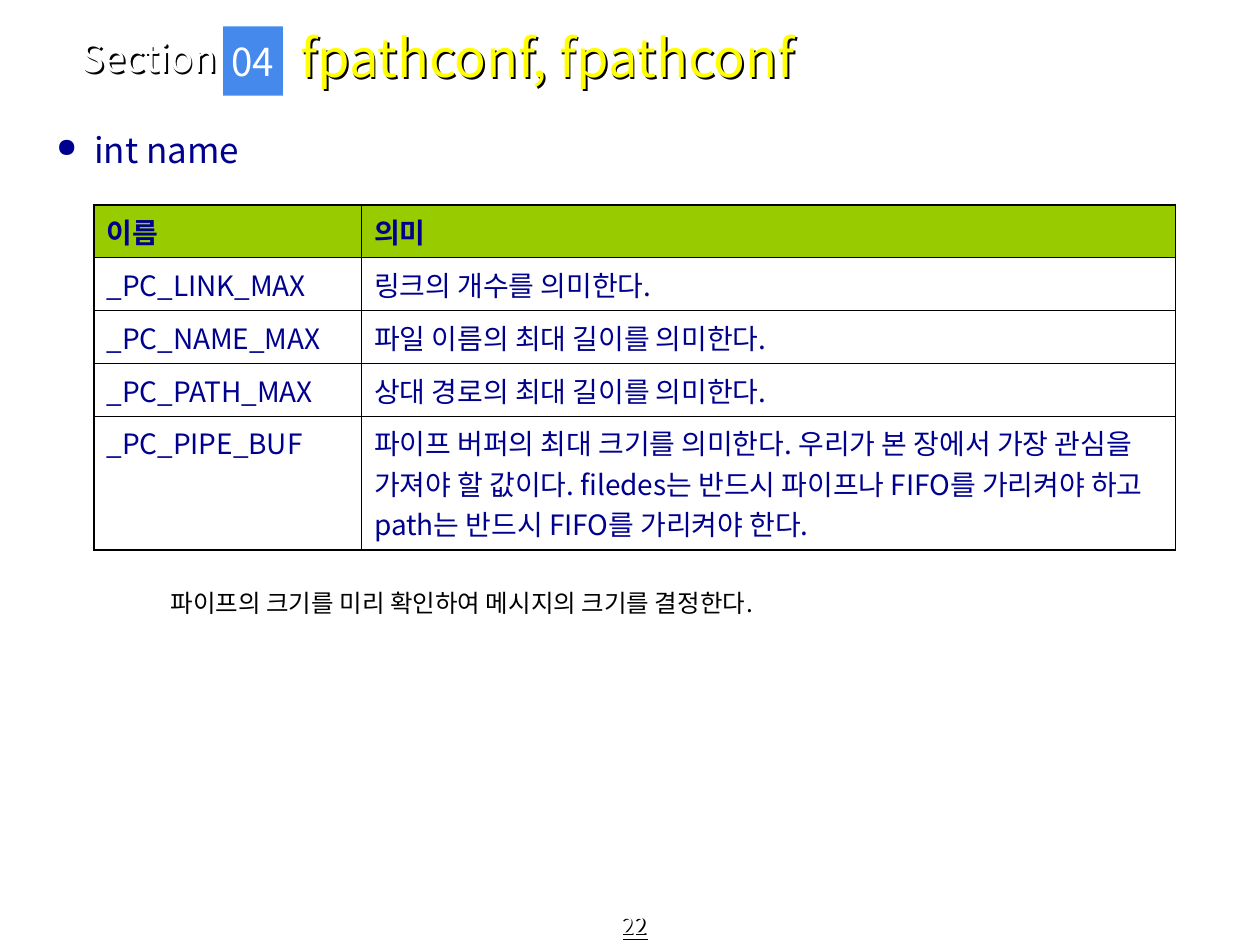
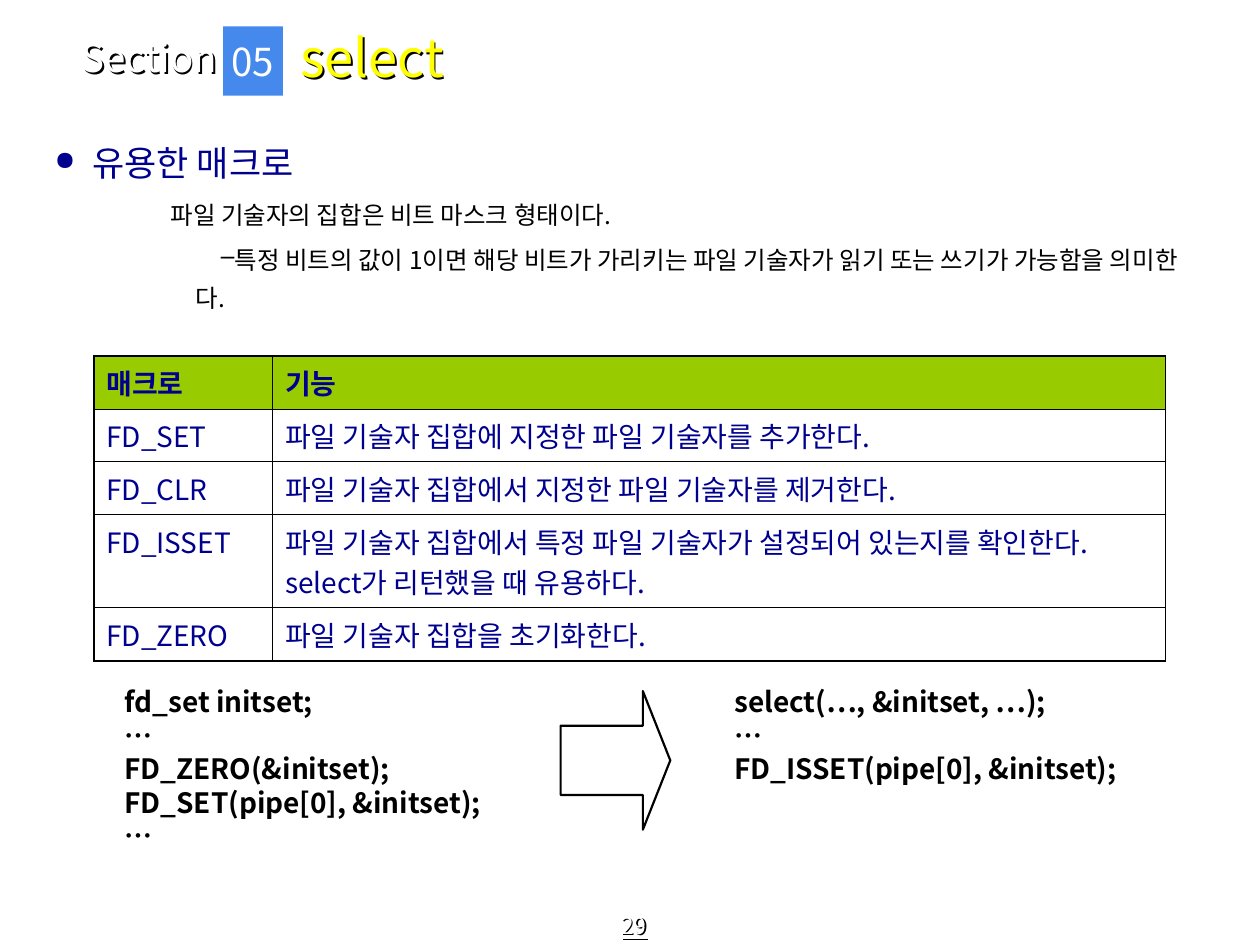
import pptx
import pptx.util
import pptx.dml.color
import pptx.enum.shapes
import pptx.enum.text
import pptx.oxml.ns
import lxml.etree

# Grid: 100 columns by 75 rows, boxes are (left, top, width, height)
WIDE, HIGH = pptx.util.Inches(10), pptx.util.Inches(7.5)
COL, ROW = WIDE / 100, HIGH / 75
FONT = "Noto Sans CJK KR"
HUES = {"ink": "000000", "navy": "00008E", "lime": "99CC00", "sky": "4589ED",
        "gold": "FFFF00", "white": "FFFFFF"}
THICK, THIN = 1.08, 0.45
LEFT = pptx.enum.text.PP_ALIGN.LEFT
MID = pptx.enum.text.PP_ALIGN.CENTER
ANCHOR = pptx.enum.text.MSO_ANCHOR
SHAPE = pptx.enum.shapes.MSO_SHAPE


def hue(name):
    return pptx.dml.color.RGBColor.from_string(HUES[name])


def tag(name):
    return pptx.oxml.ns.qn("a:" + name)


def add(node, name, **attrs):
    return lxml.etree.SubElement(node, tag(name), attrs)


def spot(box):
    x, y, w, h = box
    return [round(v) for v in (x * COL, y * ROW, w * COL, h * ROW)]


def inner(box, x, y, w, h):
    """Place a part by its offset from the corner of a box."""
    return box[0] + x, box[1] + y, w, h


def style(para, size, color, bold=False, line=False):
    font = para.font
    font.name, font.size, font.bold = FONT, pptx.util.Pt(size), bold
    font.color.rgb = hue(color)
    if line:
        font.underline = True
    props = para._p.pPr.find(tag("defRPr"))
    asian = add(props, "ea", typeface=FONT)
    props.find(tag("latin")).addnext(asian)


def cast(shape):
    """Give the text of an unfilled box a hard black shadow."""
    glow = add(shape._element.spPr, "effectLst")
    drop = add(glow, "outerShdw", blurRad="0", dist="17961", dir="2700000",
               algn="ctr", rotWithShape="0")
    add(drop, "srgbClr", val=HUES["ink"])


def bullet(para, mark, color, margin, indent, share):
    props = para._p.get_or_add_pPr()
    props.set("marL", str(pptx.util.Inches(margin)))
    props.set("indent", str(pptx.util.Inches(indent)))
    add(add(props, "buClr"), "srgbClr", val=HUES[color])
    add(props, "buSzPct", val=str(share * 1000))
    add(props, "buChar", char=mark)


def write(slide, box, lines, size, color, anchor=ANCHOR.TOP, align=LEFT,
          space=None, gap=0, marks=None, shade=False, **look):
    shape = slide.shapes.add_textbox(*spot(box))
    if shade:
        cast(shape)
    frame = shape.text_frame
    frame.word_wrap = True
    frame.vertical_anchor = anchor
    for i, line in enumerate(lines):
        para = frame.paragraphs[0] if i == 0 else frame.add_paragraph()
        para.text = line
        para.alignment = align
        if space:
            para.line_spacing = space
        if i and gap:
            para.space_before = pptx.util.Pt(gap)
        if marks and marks[i]:
            bullet(para, *marks[i])
        style(para, size, color, **look)


# Section label, number badge and title
def header(slide, box, num, title):
    write(slide, inner(box, 0, 1.6, 19.3, 3.7), ["Section"], 22, "white",
          ANCHOR.MIDDLE, shade=True)
    write(slide, inner(box, 17.35, 0, 64.9, 6.8), [title], 30, "gold",
          ANCHOR.MIDDLE, shade=True)
    badge = slide.shapes.add_shape(
        SHAPE.RECTANGLE, *spot(inner(box, 12.2, 1, 4.75, 5.5)))
    badge.shadow.inherit = False
    badge.fill.solid()
    badge.fill.fore_color.rgb = hue("sky")
    badge.line.fill.background()
    badge.text_frame.word_wrap = False
    badge.text_frame.vertical_anchor = ANCHOR.MIDDLE
    para = badge.text_frame.paragraphs[0]
    para.text, para.alignment = num, MID
    style(para, 22, "white")


# Page number
def footer(slide, box, page):
    write(slide, box, [page], 13, "white", ANCHOR.BOTTOM, MID,
          shade=True, line=True)


# Bulleted heading
def topic(slide, box, text):
    write(slide, box, [text], 20, "navy",
          marks=[("●", "navy", 0.3, -0.3, 75)])


def edge(cell, side, width):
    line = add(cell._tc.get_or_add_tcPr(), side,
               w=str(pptx.util.Pt(width)))
    add(add(line, "solidFill"), "srgbClr", val=HUES["ink"])


# Two-column table; each row is (name, meaning, number of text lines)
def chart(slide, box, first, rows):
    x, y, wide = box
    highs = [4.2 + 3.2 * (count - 1) for *_, count in rows]
    grid = slide.shapes.add_table(
        len(rows), 2, *spot((x, y, wide, sum(highs)))).table
    grid.horz_banding = False
    for c, width in enumerate((first, wide - first)):
        grid.columns[c].width = round(width * COL)
    last = len(rows) - 1
    for r, row in enumerate(rows):
        grid.rows[r].height = round(highs[r] * ROW)
        for c in range(2):
            cell = grid.cell(r, c)
            para = cell.text_frame.paragraphs[0]
            para.text = row[c]
            style(para, 16, "navy", bold=r == 0)
            edge(cell, "lnL", THIN if c else THICK)
            edge(cell, "lnR", THICK if c else THIN)
            edge(cell, "lnT", THIN if r else THICK)
            edge(cell, "lnB", THICK if r == last else THIN)
            if r:
                cell.fill.background()
            else:
                cell.fill.solid()
                cell.fill.fore_color.rgb = hue("lime")


# Two code blocks joined by an arrow
def flow(slide, box, before, after):
    for x, lines in ((0, before), (48.4, after)):
        write(slide, inner(box, x, 0, 35, 14.4), lines, 16, "ink",
              space=pptx.util.Pt(19.2), bold=True)
    arrow = slide.shapes.add_shape(
        SHAPE.RIGHT_ARROW, *spot(inner(box, 35.6, 1, 8.7, 11)))
    arrow.shadow.inherit = False
    arrow.adjustments[0], arrow.adjustments[1] = 0.5, 0.25
    arrow.fill.background()
    arrow.line.color.rgb = hue("ink")
    arrow.line.width = pptx.util.Pt(1.25)


def page(deck, num, title, count):
    slide = deck.slides.add_slide(deck.slide_layouts[6])
    header(slide, (5.5, 1.1, 82.2, 6.8), num, title)
    footer(slide, (0.3, 72.8, 100, 2.2), count)
    return slide


def limits(deck):
    slide = page(deck, "04", "fpathconf, fpathconf", "22")
    topic(slide, (3.5, 9.7, 94.7, 4.4), "int name")
    chart(slide, (7.45, 16.25, 85.85), 21.25, [
        ("이름", "의미", 1),
        ("_PC_LINK_MAX", "링크의 개수를 의미한다.", 1),
        ("_PC_NAME_MAX", "파일 이름의 최대 길이를 의미한다.", 1),
        ("_PC_PATH_MAX", "상대 경로의 최대 길이를 의미한다.", 1),
        ("_PC_PIPE_BUF", "파이프 버퍼의 최대 크기를 의미한다. 우리가 본 장에서 "
         "가장 관심을 가져야 할 값이다. filedes는 반드시 파이프나 FIFO를 "
         "가리켜야 하고 path는 반드시 FIFO를 가리켜야 한다.", 3),
    ])
    write(slide, (12.55, 46.2, 78.4, 4.7),
          ["파이프의 크기를 미리 확인하여 메시지의 크기를 결정한다."], 14, "ink")


def macros(deck):
    slide = page(deck, "05", "select", "29")
    topic(slide, (3.35, 10.7, 94.7, 4.7), "유용한 매크로")
    write(slide, (12.55, 14.7, 84.7, 11.8), [
        "파일 기술자의 집합은 비트 마스크 형태이다.",
        "특정 비트의 값이 1이면 해당 비트가 가리키는 파일 기술자가 "
        "읽기 또는 쓰기가 가능함을 의미한\v다.",
    ], 14, "ink", space=1.3, gap=3.5,
        marks=[None, ("–", "ink", 0.2, 0.2, 100)])
    chart(slide, (7.45, 28.25, 85.05), 14.2, [
        ("매크로", "기능", 1),
        ("FD_SET", "파일 기술자 집합에 지정한 파일 기술자를 추가한다.", 1),
        ("FD_CLR", "파일 기술자 집합에서 지정한 파일 기술자를 제거한다.", 1),
        ("FD_ISSET", "파일 기술자 집합에서 특정 파일 기술자가 설정되어 있는지를 "
         "확인한다. select가 리턴했을 때 유용하다.", 2),
        ("FD_ZERO", "파일 기술자 집합을 초기화한다.", 1),
    ])
    flow(slide, (8.9, 53.85, 83.4, 14.4),
         ["fd_set initset;", "…", "FD_ZERO(&initset);",
          "FD_SET(pipe[0], &initset);", "…"],
         ["select(…, &initset, …);", "…", "FD_ISSET(pipe[0], &initset);"])


def main():
    deck = pptx.Presentation()
    deck.slide_width, deck.slide_height = WIDE, HIGH
    limits(deck)
    macros(deck)
    deck.save("out.pptx")


if __name__ == "__main__":
    main()
